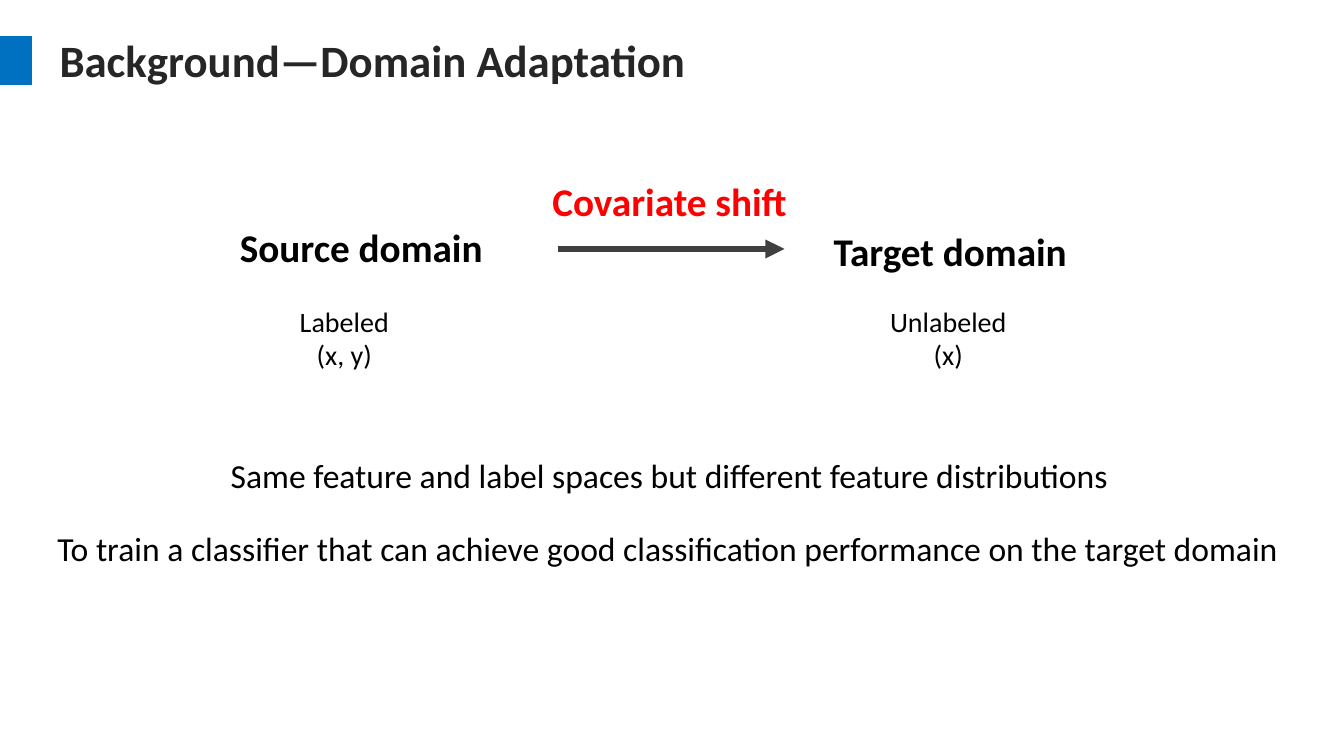
import pptx
import pptx.dml.color
import pptx.enum.shapes
import pptx.enum.text
import pptx.oxml
import pptx.oxml.ns
import pptx.util
from pptx.util import Inches


def color(hex_string):
    return pptx.dml.color.RGBColor.from_string(hex_string)


def write_text(text_frame, text, size=24, bold=False, fill="000000", align="LEFT", font="Calibri"):
    text_frame.word_wrap = True
    text_frame.vertical_anchor = pptx.enum.text.MSO_ANCHOR.TOP
    text_frame.margin_left = text_frame.margin_right = Inches(0.1)
    text_frame.margin_top = text_frame.margin_bottom = Inches(0.05)
    text_frame.text = text
    for paragraph in text_frame.paragraphs:
        paragraph.alignment = getattr(pptx.enum.text.PP_ALIGN, align)
        paragraph.line_spacing = 1.0
        paragraph.space_before = pptx.util.Pt(0)
        paragraph.font.name = font
        paragraph.font.size = pptx.util.Pt(size)
        paragraph.font.bold = bold
        paragraph.font.color.rgb = color(fill)


class SlideBuilder:
    accent = "0070C0"
    title_color = "262626"
    arrow_color = "404040"
    highlight = "FF0000"

    def __init__(self, presentation):
        self.slide = presentation.slides.add_slide(presentation.slide_layouts[5])

    def title(self, text, left, top, width, height):
        shape = self.slide.shapes.title
        shape.left, shape.top = Inches(left), Inches(top)
        shape.width, shape.height = Inches(width), Inches(height)
        write_text(shape.text_frame, text, size=32, bold=True, fill=self.title_color)
        shape.text_frame.auto_size = pptx.enum.text.MSO_AUTO_SIZE.NONE

    def bar(self, left, top, width, height):
        shape = self.slide.shapes.add_shape(
            pptx.enum.shapes.MSO_SHAPE.RECTANGLE,
            Inches(left), Inches(top), Inches(width), Inches(height))
        shape.shadow.inherit = False
        shape.fill.solid()
        shape.fill.fore_color.rgb = color(self.accent)
        shape.line.color.rgb = color(self.accent)
        shape.line.width = pptx.util.Pt(1)

    def text(self, text, left, top, width, height, **text_format):
        shape = self.slide.shapes.add_textbox(
            Inches(left), Inches(top), Inches(width), Inches(height))
        write_text(shape.text_frame, text, **text_format)

    def arrow(self, left, right, y):
        connector = self.slide.shapes.add_connector(
            pptx.enum.shapes.MSO_CONNECTOR.STRAIGHT,
            Inches(left), Inches(y), Inches(right), Inches(y))
        connector.line.color.rgb = color(self.arrow_color)
        connector.line.width = pptx.util.Pt(4.5)
        namespace = pptx.oxml.ns.nsdecls("a")
        connector.line._get_or_add_ln().append(
            pptx.oxml.parse_xml(f'<a:tailEnd {namespace} type="triangle"/>'))
        connector._element.spPr.append(
            pptx.oxml.parse_xml(f"<a:effectLst {namespace}/>"))


def main():
    presentation = pptx.Presentation()
    presentation.slide_width = Inches(13.33)
    presentation.slide_height = Inches(7.5)

    builder = SlideBuilder(presentation)
    builder.bar(-0.01, 0.36, 0.32, 0.48)
    builder.title("Background—Domain Adaptation", 0.49, 0.27, 6.55, 0.64)

    heading = {"size": 28, "bold": True}
    builder.text("Source domain", 2.28, 2.17, 2.88, 0.57, **heading)
    builder.text("Target domain", 8.17, 2.21, 2.7, 0.57, **heading)
    builder.arrow(5.53, 7.78, 2.47)
    builder.text("Covariate shift", 5.38, 1.71, 2.57, 0.57, fill=builder.highlight, **heading)

    for description, left, width in (("Labeled\n(x, y)", 2.8, 1.23), ("Unlabeled\n(x)", 8.63, 1.55)):
        builder.text(description, left, 2.97, width, 0.77, size=20, align="CENTER")

    builder.text("Same feature and label spaces but different feature distributions",
                 2.19, 4.46, 8.96, 0.5)
    builder.text("To train a classifier that can achieve good classification performance on the target domain",
                 0.47, 5.19, 12.39, 0.5)

    presentation.save("out.pptx")


if __name__ == "__main__":
    main()
